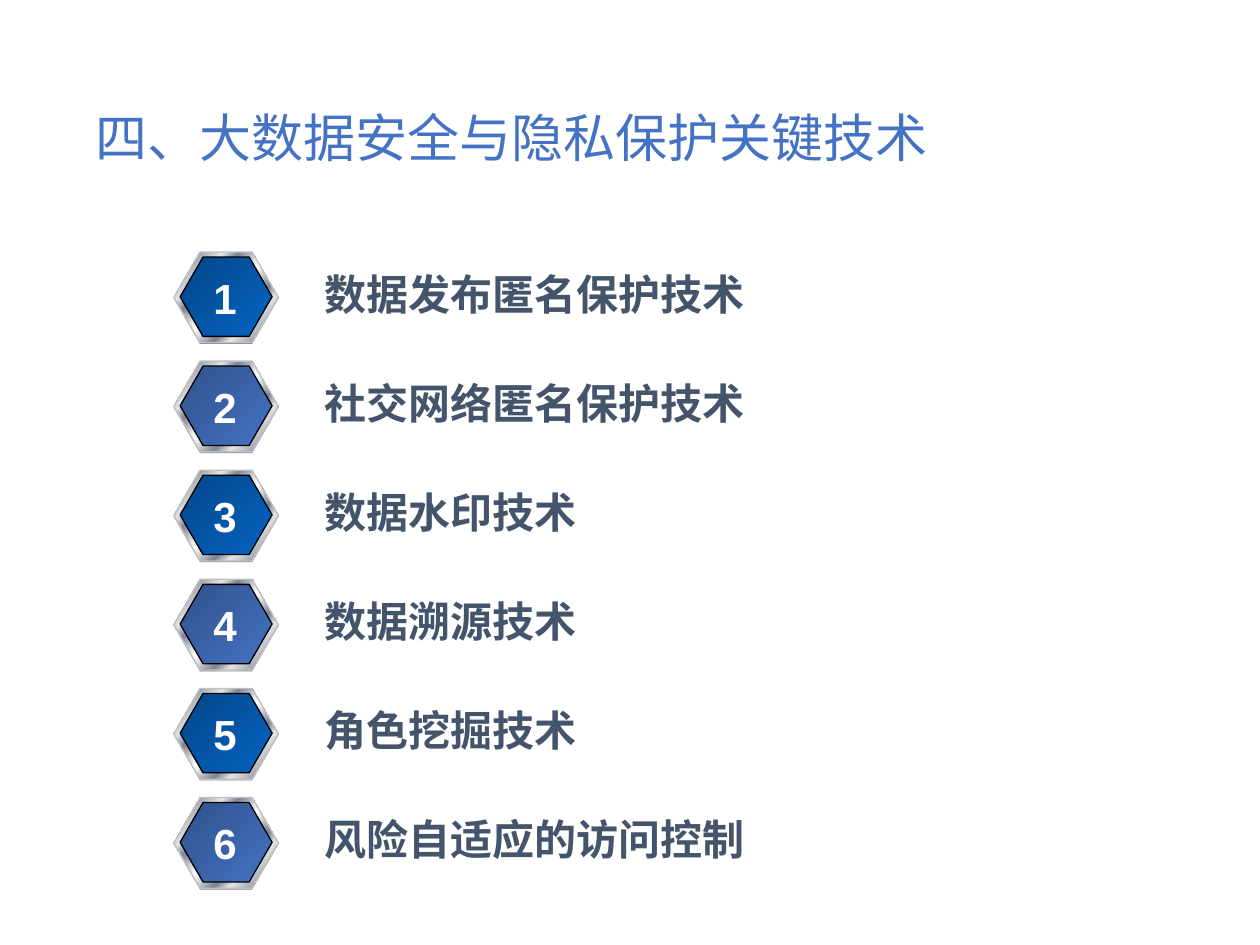
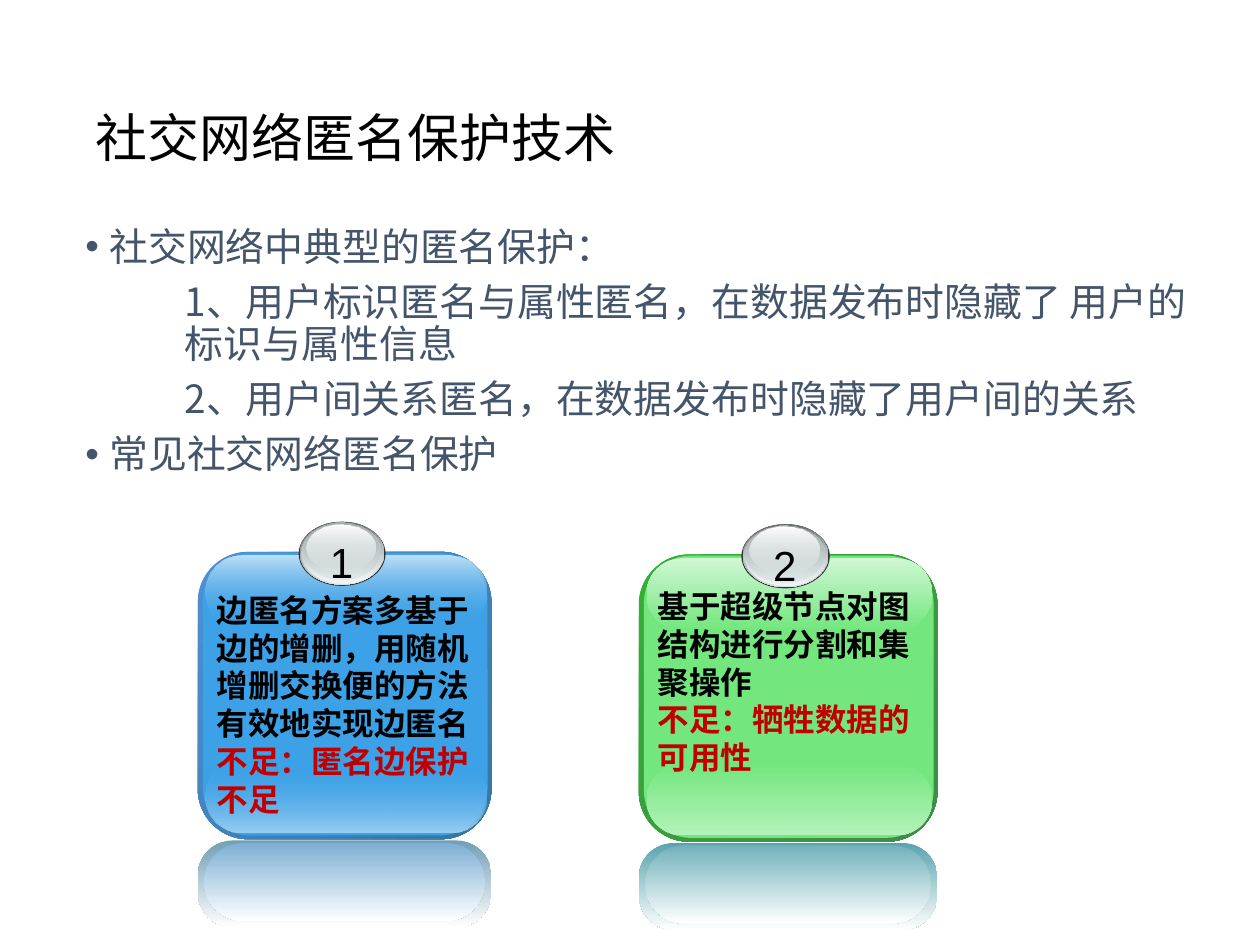
from lxml import etree
from pptx import Presentation
from pptx.dml.color import RGBColor
from pptx.enum.shapes import MSO_SHAPE
from pptx.enum.text import MSO_ANCHOR, MSO_AUTO_SIZE, PP_ALIGN
from pptx.oxml.ns import qn
from pptx.util import Inches, Pt

HEX, ROUND, OVAL = MSO_SHAPE.HEXAGON, MSO_SHAPE.ROUNDED_RECTANGLE, MSO_SHAPE.OVAL
MIDDLE, TOP = MSO_ANCHOR.MIDDLE, MSO_ANCHOR.TOP
LEFT, CENTER = PP_ALIGN.LEFT, PP_ALIGN.CENTER
GROW, NO_FIT = MSO_AUTO_SIZE.SHAPE_TO_FIT_TEXT, MSO_AUTO_SIZE.NONE

# Shared look
ARIAL, NOTO = "Arial", "Noto Sans CJK SC"
BLACK, WHITE, SLATE, BLUE, RED = "000000", "FFFFFF", "44546A", "4472C4", "C00000"
SILVER, STEEL = "E6E6E6", "7D8496"

# Slide 1 content
AGENDA_TITLE = "四、大数据安全与隐私保护关键技术"
AGENDA = ["数据发布匿名保护技术", "社交网络匿名保护技术", "数据水印技术",
          "数据溯源技术", "角色挖掘技术", "风险自适应的访问控制"]
ROW_TOP, ROW_STEP = 2.0, 0.866
HEX_ADJ = (0.289, 1.155)
METAL = [(0, SILVER), (8, STEEL), (26, SILVER), (34, STEEL), (46, SILVER), (50, WHITE),
         (54, SILVER), (66, STEEL), (74, SILVER), (92, STEEL), (100, SILVER)]
HEX_FILLS = [[(0, "04478A"), (100, "0563C1")], [(0, "31528C"), (100, BLUE)]]

# Slide 2 content
SOCIAL_TITLE = "社交网络匿名保护技术"
BODY = [  # text, is bullet
    ("社交网络中典型的匿名保护：", True),
    ("1、用户标识匿名与属性匿名，在数据发布时隐藏了 用户的标识与属性信息", False),
    ("2、用户间关系匿名，在数据发布时隐藏了用户间的关系", False),
    ("常见社交网络匿名保护", True),
]
CARDS = [
    dict(left=1.57, top=4.38, width=2.33, text_top=4.64, fade=0,
         text=["边匿名方案多基于边的增删，用随机增删交换便的方法有效地实现边匿名",
               "不足：匿名边保护不足"],
         rim=("4E91D4", "3477A4"), face="3CA1E6", low="9BCFF2", high="BEE0F7",
         mirror=("729EB4", "7DAFD4")),
    dict(left=5.07, top=4.40, width=2.37, text_top=4.61, fade=100,
         text=["基于超级节点对图结构进行分割和集聚操作", "不足：牺牲数据的可用性"],
         rim=("34B034", "3F8B4A"), face="73E77E", low="B3F2B9", high="D0F7D4",
         mirror=("58A4AE", "72B2BB")),
]
CARD_WIDTH = 2.33
BADGE = [  # dx, dy, width, height, fill
    (0.80, -0.24, 0.69, 0.51, "333333"),
    (0.81, -0.24, 0.67, 0.50, [(0, "636869"), (100, "D6E1E2")]),
    (0.82, -0.24, 0.65, 0.49, [(0, "D6E1E2", 0), (100, "F1F5F5")]),
    (0.83, -0.23, 0.62, 0.45, [(0, "AAB2B3"), (100, "D6E1E2", 48)]),
    (0.86, -0.22, 0.55, 0.37, [(0, WHITE), (100, "D6E1E2", 38)]),
]


def rgb(color):
    return RGBColor.from_string(color)


def fill_gradient(sp, stops, angle):
    """Stops are (position, colour[, opacity]) in percent."""
    sp.fill.gradient()
    grad = sp._element.spPr.find(qn("a:gradFill"))
    for child in list(grad):
        grad.remove(child)
    stop_list = etree.SubElement(grad, qn("a:gsLst"))
    for pos, color, *opacity in stops:
        stop = etree.SubElement(stop_list, qn("a:gs"), pos=str(pos * 1000))
        clr = etree.SubElement(stop, qn("a:srgbClr"), val=color)
        if opacity and opacity[0] < 100:
            etree.SubElement(clr, qn("a:alpha"), val=str(opacity[0] * 1000))
    etree.SubElement(grad, qn("a:lin"), ang=str(angle * 60000), scaled="0")


def add_shape(s, kind, box, fill, angle=90, adj=(), line=None):
    sp = s.shapes.add_shape(kind, *map(Inches, box))
    sp.shadow.inherit = False
    for i, value in enumerate(adj):
        sp.adjustments[i] = value
    if isinstance(fill, str):
        sp.fill.solid()
        sp.fill.fore_color.rgb = rgb(fill)
    else:
        fill_gradient(sp, fill, angle)
    if line:
        sp.line.color.rgb = rgb(line)
        sp.line.width = Pt(0.75)
    else:
        sp.line.fill.background()


def style(p, size, color, font, bold=False):
    for r in p.runs:
        r.font.size, r.font.bold, r.font.name = Pt(size), bold, font
        r.font.color.rgb = rgb(color)
        etree.SubElement(r._r.get_or_add_rPr(), qn("a:ea"), typeface=NOTO)


def add_text(s, box, lines, size, colors, font=ARIAL, bold=False, align=LEFT,
             wrap=False, anchor=TOP, fit=GROW):
    """One paragraph per line; colors holds one colour for each."""
    tf = s.shapes.add_textbox(*map(Inches, box)).text_frame
    tf.text = "\n".join(lines)
    tf.word_wrap, tf.auto_size, tf.vertical_anchor = wrap, fit, anchor
    for p, color in zip(tf.paragraphs, colors):
        p.alignment = align
        style(p, size, color, font, bold)
    return tf


def add_title(s, text, color):
    tf = add_text(s, (0.66, 0.85, 8.6, 0.53), [text], 29.7, [color], NOTO,
                  wrap=True, anchor=MIDDLE, fit=NO_FIT)
    tf.paragraphs[0].line_spacing = 0.9


def add_agenda_row(s, i, text):
    top = ROW_TOP + i * ROW_STEP
    add_shape(s, HEX, (1.38, top + 0.01, 0.83, 0.72), "808080", adj=HEX_ADJ)
    add_shape(s, HEX, (1.38, top, 0.83, 0.72), METAL, 45, HEX_ADJ, "C0C0C0")
    add_shape(s, HEX, (1.43, top + 0.04, 0.73, 0.63), HEX_FILLS[i % 2], 45, HEX_ADJ, BLACK)
    width = 0.2 + len(text) * 24 / 72
    add_text(s, (2.48, top + 0.08, width, 0.51), [text], 24, [SLATE], bold=True)
    add_text(s, (1.59, top + 0.11, 0.39, 0.5), [str(i + 1)], 24, [WHITE],
             bold=True, align=CENTER)


def add_body(s):
    tf = add_text(s, (0.58, 1.76, 8.96, 2.3), [text for text, _ in BODY], 22.2,
                  [SLATE] * len(BODY), NOTO, wrap=True, fit=NO_FIT)
    for i, (p, (_, bullet)) in enumerate(zip(tf.paragraphs, BODY)):
        p.line_spacing = 0.9
        if i:
            p.space_before = Pt(7.5)
        ppr = p._p.get_or_add_pPr()
        ppr.set("marL", str(Inches(0.19 if bullet else 0.79)))
        ppr.set("indent", str(Inches(-0.19 if bullet else 0)))
        if bullet:
            etree.SubElement(ppr, qn("a:buFont"), typeface=ARIAL)
            etree.SubElement(ppr, qn("a:buChar"), char="•")


def add_card(s, number, card):
    scale = card["width"] / CARD_WIDTH
    face, fade = card["face"], card["fade"]

    def place(dx, dy, w, h):
        return card["left"] + dx * scale, card["top"] + dy, w * scale, h

    rim, (outer, inner) = list(zip((0, 100), card["rim"])), card["mirror"]
    layers = [  # box, corner, fill, angle
        ((0, 0, 2.33, 2.28), 0.175, rim, 45),
        ((0.04, 0.01, 2.26, 2.24), 0.167, face, 90),
        ((0.06, 1.66, 2.23, 0.57), 0.5, [(0, face, fade), (100, card["low"])], 90),
        ((0.06, 0.03, 2.23, 0.57), 0.5, [(0, card["high"]), (100, face, fade)], 90),
        ((0, 2.29, 2.33, 0.69), 0.404, [(0, outer), (100, WHITE)], 90),
        ((0.05, 2.31, 2.23, 0.62), 0.5, [(0, inner), (100, WHITE)], 90),
    ]
    for box, corner, fill, angle in layers:
        add_shape(s, ROUND, place(*box), fill, angle, (corner,))
    for *box, fill in BADGE:
        add_shape(s, OVAL, place(*box), fill)
    add_text(s, place(0.95, -0.17, 0.38, 0.37), [str(number)], 24, [BLACK], align=CENTER)
    left, _, width, _ = place(0.05, 0, 2.22, 0)
    add_text(s, (left, card["text_top"], width, 1.92), card["text"], 18, [BLACK, RED],
             bold=True, wrap=True)


def main():
    prs = Presentation()
    prs.slide_width, prs.slide_height = Inches(10), Inches(7.5)
    blank = prs.slide_layouts[6]

    # Slide 1: numbered list of techniques
    s = prs.slides.add_slide(blank)
    add_title(s, AGENDA_TITLE, BLUE)
    for i, text in enumerate(AGENDA):
        add_agenda_row(s, i, text)

    # Slide 2: social network anonymity
    s = prs.slides.add_slide(blank)
    add_title(s, SOCIAL_TITLE, BLACK)
    add_body(s)
    for number, card in enumerate(CARDS, 1):
        add_card(s, number, card)

    prs.save("out.pptx")


if __name__ == "__main__":
    main()
